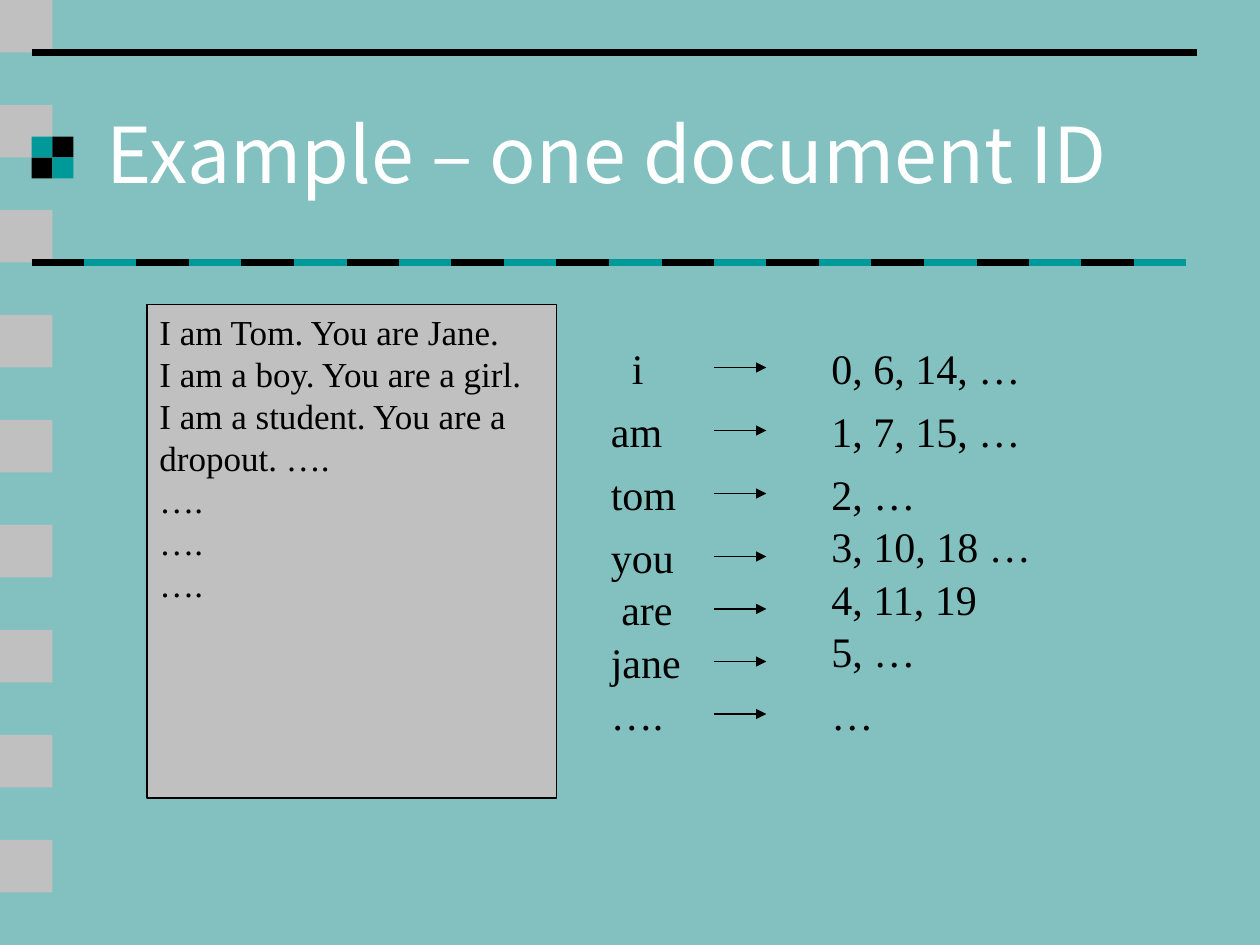
from dataclasses import dataclass
from typing import NamedTuple

from lxml.etree import SubElement
from pptx import Presentation
from pptx.dml.color import RGBColor
from pptx.enum.shapes import MSO_CONNECTOR as Connector, MSO_SHAPE as Shape
from pptx.enum.text import MSO_ANCHOR as Anchor, PP_ALIGN as Align
from pptx.oxml.ns import qn
from pptx.util import Pt


@dataclass(frozen=True)
class Theme:
    background: RGBColor = RGBColor(0x83, 0xC1, 0xC0)
    silver: RGBColor = RGBColor(0xC0, 0xC0, 0xC0)
    teal: RGBColor = RGBColor(0x00, 0x99, 0x99)
    black: RGBColor = RGBColor(0, 0, 0)
    white: RGBColor = RGBColor(0xFF, 0xFF, 0xFF)
    title_font: str = "Noto Sans CJK KR"
    body_font: str = "Times New Roman"
    title_size: float = 44
    document_size: float = 20
    index_size: float = 24
    thick: float = 4.5
    thin: float = 0.75


class Box(NamedTuple):
    left: float
    top: float
    width: float
    height: float


class Posting(NamedTuple):
    term: str
    term_left: float
    term_top: float
    term_width: float
    positions: str
    positions_top: float


THEME = Theme()
UNIT = 30
MARGIN = 18
TILE = 12
ROW_HEIGHT = 36

DOCUMENT = [
    "I am Tom. You are Jane.",
    "I am a boy. You are a girl.",
    "I am a student. You are a",
    "dropout. ….",
    "….",
    "….",
    "….",
]

POSTINGS = [
    Posting("i", 354, 192, 24, "0, 6, 14, …", 192),
    Posting("am", 342, 228, 60, "1, 7, 15, …", 228),
    Posting("tom", 342, 264, 78, "2, …", 264),
    Posting("you", 342, 300, 78, "3, 10, 18 …", 294),
    Posting("are", 348, 330, 66, "4, 11, 19", 324),
    Posting("jane", 342, 360, 72, "5, …", 354),
    Posting("….", 342, 390, 84, "…", 390),
]


def add_rectangle(page, box: Box, fill: RGBColor):
    rectangle = page.shapes.add_shape(Shape.RECTANGLE, *map(Pt, box))
    rectangle.shadow.inherit = False
    rectangle.fill.solid()
    rectangle.fill.fore_color.rgb = fill
    rectangle.line.fill.background()
    return rectangle


def add_line(page, start: float, end: float, y: float, color: RGBColor,
             width: float, arrow: bool = False) -> None:
    line = page.shapes.add_connector(
        Connector.STRAIGHT, Pt(start), Pt(y), Pt(end), Pt(y))
    line.line.color.rgb = color
    line.line.width = Pt(width)
    if arrow:
        SubElement(line.line._get_or_add_ln(), qn("a:tailEnd"), type="triangle")
    SubElement(line._element.spPr, qn("a:effectLst"))


def write(shape, text: str, font: str, size: float, color: RGBColor,
          anchor: Anchor = Anchor.TOP) -> None:
    frame = shape.text_frame
    frame.word_wrap = True
    frame.vertical_anchor = anchor
    frame.text = text
    for para in frame.paragraphs:
        para.alignment = Align.LEFT
        for span in para.runs:
            span.font.name = font
            span.font.size = Pt(size)
            span.font.color.rgb = color


def add_text(page, box: Box, text: str, font: str, size: float,
             color: RGBColor, anchor: Anchor = Anchor.TOP) -> None:
    write(page.shapes.add_textbox(*map(Pt, box)), text, font, size, color, anchor)


def draw_decoration(page) -> None:
    for row in range(9):
        add_rectangle(page, Box(0, row * 2 * UNIT, UNIT, UNIT), THEME.silver)
    add_line(page, MARGIN, 684, UNIT, THEME.black, THEME.thick)
    for row in range(2):
        for column in range(2):
            color = THEME.teal if row == column else THEME.black
            add_rectangle(page, Box(MARGIN + column * TILE, 78 + row * TILE,
                                    TILE, TILE), color)
    for index in range(22):
        start = MARGIN + index * UNIT
        color = THEME.teal if index % 2 else THEME.black
        add_line(page, start, start + UNIT, 5 * UNIT, color, THEME.thick)


def draw_document(page) -> None:
    document = add_rectangle(page, Box(84, 174, 234, 282), THEME.silver)
    document.line.color.rgb = THEME.black
    document.line.width = Pt(THEME.thin)
    write(document, "\n".join(DOCUMENT), THEME.body_font,
          THEME.document_size, THEME.black)
    for para in document.text_frame.paragraphs:
        para.line_spacing = Pt(24)


def draw_posting(page, posting: Posting) -> None:
    term_box = Box(posting.term_left, posting.term_top,
                   posting.term_width, ROW_HEIGHT)
    positions_box = Box(468, posting.positions_top, 192, ROW_HEIGHT)
    for box, text in ((term_box, posting.term),
                      (positions_box, posting.positions)):
        add_text(page, box, text, THEME.body_font, THEME.index_size, THEME.black)
    add_line(page, 408, 438, posting.term_top + ROW_HEIGHT / 2,
             THEME.black, THEME.thin, arrow=True)


def main() -> None:
    deck = Presentation()
    deck.slide_width, deck.slide_height = Pt(720), Pt(540)
    page = deck.slides.add_slide(deck.slide_layouts[6])
    page.background.fill.solid()
    page.background.fill.fore_color.rgb = THEME.background
    draw_decoration(page)
    add_text(page, Box(54, 42, 612, 90), "Example – one document ID",
             THEME.title_font, THEME.title_size, THEME.white, Anchor.MIDDLE)
    draw_document(page)
    for posting in POSTINGS:
        draw_posting(page, posting)
    deck.save("out.pptx")


if __name__ == "__main__":
    main()
